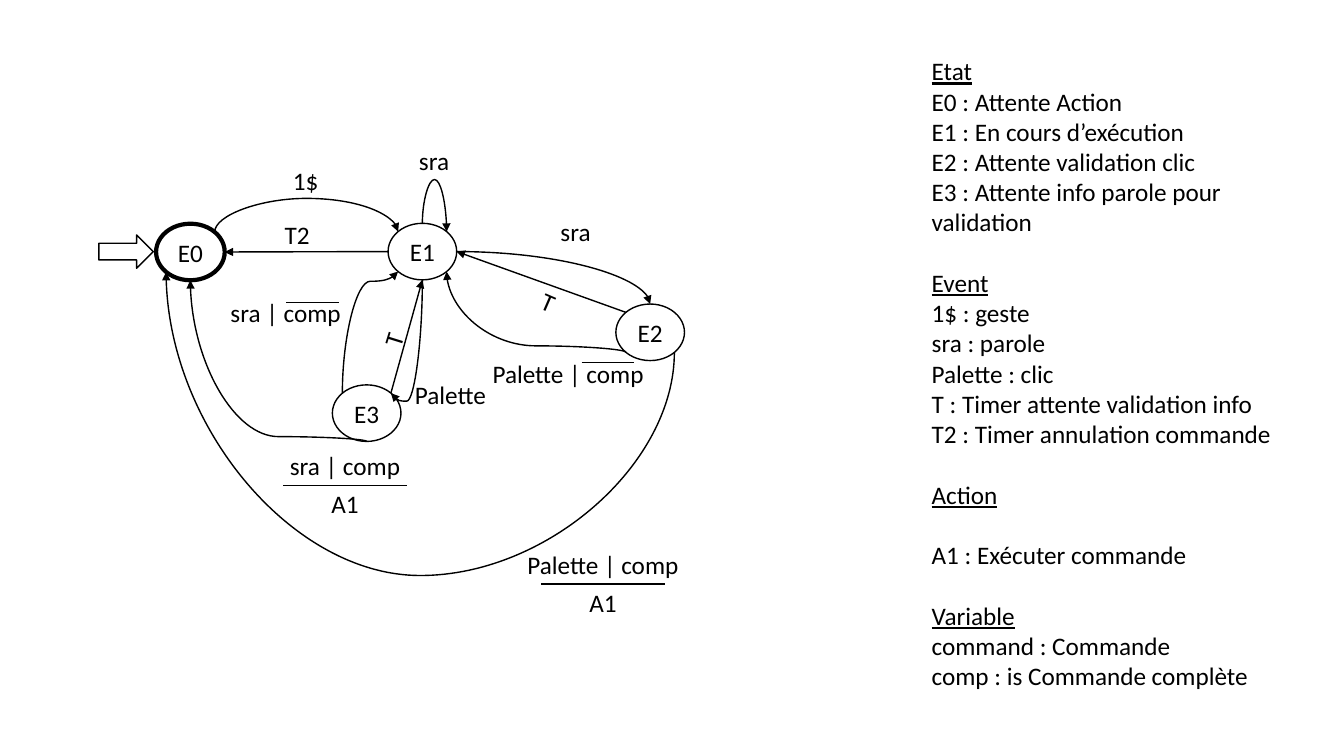
from collections import namedtuple
from math import cos, sin, pi
from lxml.etree import SubElement as Sub
from pptx import Presentation
from pptx.dml.color import RGBColor
from pptx.enum.shapes import MSO_CONNECTOR as Conn, MSO_SHAPE as Form
from pptx.enum.text import MSO_ANCHOR as Anchor, MSO_AUTO_SIZE as Fit, PP_ALIGN as Align
from pptx.oxml.ns import qn
from pptx.util import Pt

BLACK = RGBColor(0, 0, 0)
WHITE = RGBColor(255, 255, 255)
FONT = "Calibri"
SIZE = 18
LINE = 21.6
WIDE, HIGH = 49, 40.4
TOP, TL, LEFT, BL, BASE, BR, RIGHT, TR = range(8)

State = namedtuple("State", "shape x y")

STATES = {"E0": (66, 80, 3), "E1": (231.7, 79.7, 1),
          "E2": (394.4, 137.4, 1), "E3": (191.9, 195.1, 1)}
ARCS = [("E0", TR, "E1", TL, 42.6), ("E1", TOP, "E1", TR, 28.2),
        ("E2", BL, "E1", BR, 147), ("E1", BASE, "E3", TR, 186.6),
        ("E3", TL, "E1", BL, 100.9), ("E2", BR, "E0", BL, 311.1),
        ("E3", BASE, "E0", BASE, 211.8)]
LINKS = [("E1", LEFT, "E0", RIGHT), ("E2", TL, "E1", RIGHT),
         ("E3", TR, "E1", BASE)]
LABELS = [("1$", 148.4, 28.9, 36, 0), ("sra", 240, 14.8, 40, 0),
          ("sra", 341.1, 65.2, 40, 0), ("T2", 142.3, 67.8, 42, 0),
          ("T", 321.7, 115.3, 26, 23.4), ("T", 210.9, 142.5, 26, 287.2),
          ("Palette", 251.7, 181.5, 70, 0),
          ("sra | comp", 134, 123.2, 98, 0),
          ("Palette | comp", 335.8, 167.1, 128, 0)]
BARS = [(134.5, 116), (345.4, 158.5)]
RATIOS = [("sra | comp", 176.4, 232.6, 98), ("Palette | comp", 360.7, 303.2, 128)]

LEGEND = [
    ("Etat", 0, ["E0 : Attente Action", "E1 : En cours d’exécution",
                 "E2 : Attente validation clic",
                 "E3 : Attente info parole pour validation"]),
    ("Event", 0, ["1$ : geste", "sra : parole", "Palette : clic",
                  "T : Timer attente validation info",
                  "T2 : Timer annulation commande"]),
    ("Action", LINE, ["A1 : Exécuter commande"]),
    ("Variable", 0, ["command : Commande", "comp : is Commande complète"]),
]


def write(para, text, under=False):
    run = para.add_run()
    run.text = text
    font = run.font
    font.name, font.size, font.underline = FONT, Pt(SIZE), under
    font.color.rgb = BLACK


def paint(shape, width):
    shape.shadow.inherit = False
    shape.fill.solid()
    shape.fill.fore_color.rgb = WHITE
    shape.line.color.rgb = BLACK
    shape.line.width = Pt(width)


def label(slide, text, x, y, wide, turn=0):
    box = slide.shapes.add_textbox(Pt(x - wide / 2), Pt(y - 14.4), Pt(wide), Pt(28.8))
    box.rotation = turn
    frame = box.text_frame
    frame.word_wrap = False
    frame.auto_size = Fit.SHAPE_TO_FIT_TEXT
    para = frame.paragraphs[0]
    para.alignment = Align.CENTER
    write(para, text)


def stroke(slide, kind, start, end, width=1, arrow=False):
    wire = slide.shapes.add_connector(kind, *(Pt(v) for v in (*start, *end)))
    wire.line.color.rgb = BLACK
    wire.line.width = Pt(width)
    if arrow:
        Sub(wire.element.spPr.find(qn("a:ln")), qn("a:tailEnd"), type="triangle")
    Sub(wire.element.spPr, qn("a:effectLst"))
    return wire


def state(slide, name, x, y, width):
    shape = slide.shapes.add_shape(Form.OVAL, Pt(x - WIDE / 2), Pt(y - HIGH / 2),
                                   Pt(WIDE), Pt(HIGH))
    paint(shape, width)
    frame = shape.text_frame
    frame.word_wrap = False
    frame.vertical_anchor = Anchor.MIDDLE
    frame.paragraphs[0].alignment = Align.CENTER
    write(frame.paragraphs[0], name)
    return State(shape, x, y)


def site(node, spot):
    turn = spot * pi / 4
    return node.x - WIDE / 2 * sin(turn), node.y - HIGH / 2 * cos(turn)


def glue(wire, first, spot, last, goal):
    ends = wire.element.nvCxnSpPr.cNvCxnSpPr
    for tag, node, idx in (("a:stCxn", first, spot), ("a:endCxn", last, goal)):
        Sub(ends, qn(tag), id=str(node.shape.shape_id), idx=str(idx))


def arc(slide, start, end, level):
    (x0, y0), (x1, y1) = start, end
    wide, high = abs(y1 - y0), abs(x1 - x0)
    left, top = (x0 + x1 - wide) / 2, (y0 + y1 - high) / 2
    wire = stroke(slide, Conn.CURVE, (left, top), (left + wide, top + high), arrow=True)
    frame = wire.element.spPr.get_or_add_xfrm()
    frame.set("rot", "5400000")
    if y1 < y0:
        frame.set("flipH", "1")
    if x1 > x0:
        frame.set("flipV", "1")
    bend = round((level - y0) / (y1 - y0) * 100000)
    marks = wire.element.spPr.find(qn("a:prstGeom")).find(qn("a:avLst"))
    Sub(marks, qn("a:gd"), name="adj1", fmla=f"val {bend}")
    return wire


def ratio(slide, text, x, y, wide):
    label(slide, text, x, y, wide)
    stroke(slide, Conn.STRAIGHT, (x - 44, y + 14), (x + 44, y + 14))
    label(slide, "A1", x, y + 27, 40)


def graph(slide, x, y):
    nodes = {name: state(slide, name, x + dx, y + dy, width)
             for name, (dx, dy, width) in STATES.items()}
    entry = slide.shapes.add_shape(Form.RIGHT_ARROW, Pt(x + 0.6), Pt(y + 67.8),
                                   Pt(38.9), Pt(23.8))
    paint(entry, 1)
    for a, spot, b, goal, level in ARCS:
        wire = arc(slide, site(nodes[a], spot), site(nodes[b], goal), y + level)
        glue(wire, nodes[a], spot, nodes[b], goal)
    for a, spot, b, goal in LINKS:
        wire = stroke(slide, Conn.STRAIGHT, site(nodes[a], spot),
                      site(nodes[b], goal), arrow=True)
        glue(wire, nodes[a], spot, nodes[b], goal)
    wire = stroke(slide, Conn.CURVE, site(nodes["E1"], RIGHT),
                  site(nodes["E2"], TOP), arrow=True)
    wire.element.spPr.find(qn("a:prstGeom")).set("prst", "curvedConnector2")
    glue(wire, nodes["E1"], RIGHT, nodes["E2"], TOP)
    for text, dx, dy, wide, turn in LABELS:
        label(slide, text, x + dx, y + dy, wide, turn)
    for dx, dy in BARS:
        stroke(slide, Conn.STRAIGHT, (x + dx, y + dy), (x + dx + 37.5, y + dy), 0.5)
    for text, dx, dy, wide in RATIOS:
        ratio(slide, text, x + dx, y + dy, wide)


def legend(slide, x, y, wide, high):
    frame = slide.shapes.add_textbox(Pt(x), Pt(y), Pt(wide), Pt(high)).text_frame
    frame.word_wrap = True
    frame.auto_size = Fit.SHAPE_TO_FIT_TEXT
    for i, (title, gap, items) in enumerate(LEGEND):
        para = frame.add_paragraph() if i else frame.paragraphs[0]
        para.space_before = Pt(LINE if i else 0)
        write(para, title, True)
        for item in items:
            para = frame.add_paragraph()
            para.space_before = Pt(gap)
            write(para, item)


deck = Presentation()
deck.slide_width, deck.slide_height = Pt(960), Pt(540)
page = deck.slides.add_slide(deck.slide_layouts[6])
graph(page, 70, 100)
legend(page, 658.4, 36.2, 265, 487.4)
deck.save("out.pptx")
